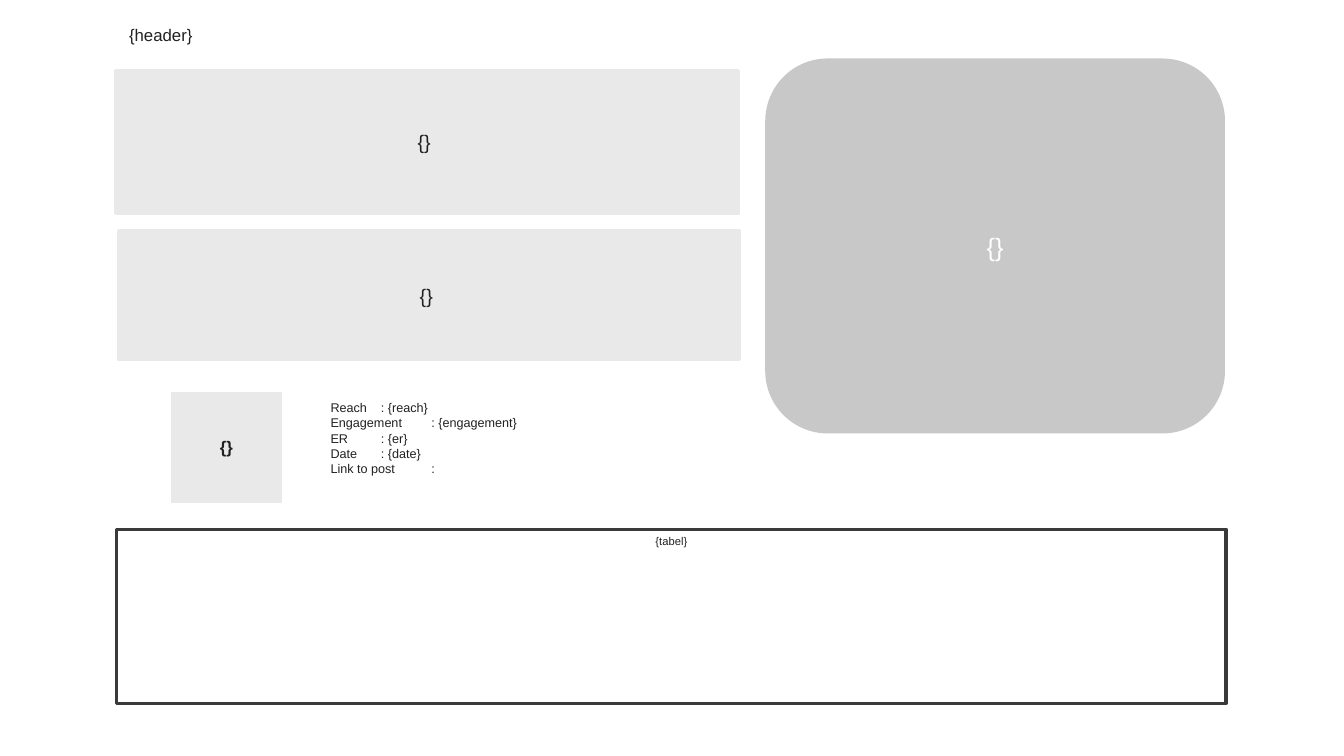
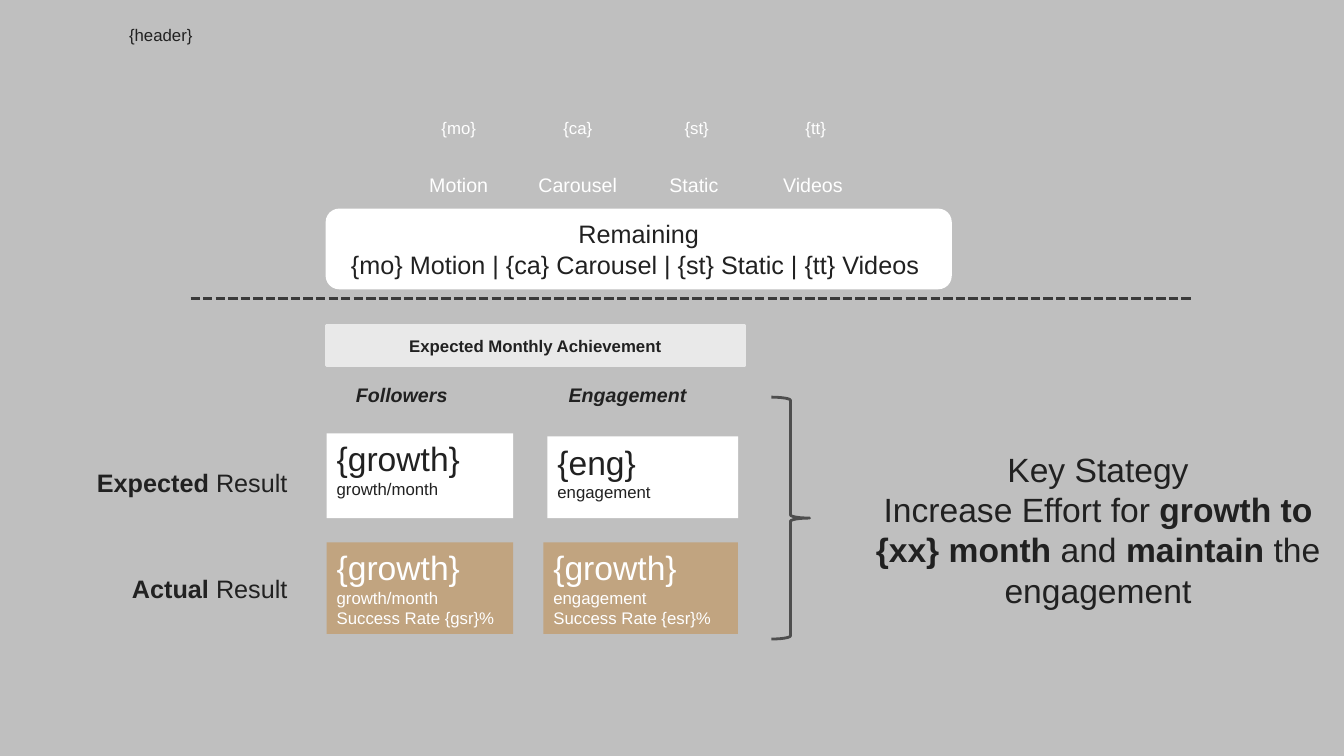
from lxml import etree
from pptx import Presentation
from pptx.dml.color import RGBColor
from pptx.enum.dml import MSO_LINE
from pptx.enum.shapes import MSO_CONNECTOR, MSO_SHAPE
from pptx.enum.text import MSO_ANCHOR, MSO_AUTO_SIZE, PP_ALIGN
from pptx.oxml.ns import qn
from pptx.util import Emu, Pt

PX = 9144  # 100 px to the inch
TITLE_ONLY = 5
FONT = "Arial"

INK = "212121"
WHITE = "FFFFFF"
PALE = "E9E9E9"
SILVER = "C8C8C8"
BACKDROP = "BFBFBF"
TAN = "C1A480"
RULE = "3A3A3A"
BRACE = "4E4E4E"

LEFT, CENTER, RIGHT = PP_ALIGN.LEFT, PP_ALIGN.CENTER, PP_ALIGN.RIGHT
TOP, MIDDLE = MSO_ANCHOR.TOP, MSO_ANCHOR.MIDDLE
RECTANGLE, ROUNDED = MSO_SHAPE.RECTANGLE, MSO_SHAPE.ROUNDED_RECTANGLE
RIGHT_BRACE = MSO_SHAPE.RIGHT_BRACE
STRAIGHT = MSO_CONNECTOR.STRAIGHT
DASHED = MSO_LINE.SQUARE_DOT


def px(*lengths):
    return [Emu(length * PX) for length in lengths]


def rgb(color):
    return RGBColor.from_string(color)


def span(text, size, bold=False, italic=False):
    return text, size, bold, italic


def write(box, paras, color=INK, align=CENTER, anchor=MIDDLE):
    """Fill a box with paragraphs, each a list of spans."""
    frame = box.text_frame
    frame.word_wrap = True
    frame.auto_size = MSO_AUTO_SIZE.NONE
    frame.vertical_anchor = anchor
    for index, spans in enumerate(paras):
        para = frame.paragraphs[0] if index == 0 else frame.add_paragraph()
        para.alignment = align
        for text, size, bold, italic in spans:
            run = para.add_run()
            run.text = text
            font = run.font
            font.name, font.size = FONT, Pt(size)
            font.bold, font.italic = bold, italic
            font.color.rgb = rgb(color)


def add_text(page, at, paras, **style):
    write(page.shapes.add_textbox(*px(*at)), paras, **style)


def add_panel(page, at, paras=(), kind=RECTANGLE, fill=None, line=None,
              width=2.25, **style):
    panel = page.shapes.add_shape(kind, *px(*at))
    panel.shadow.inherit = False
    if fill:
        panel.fill.solid()
        panel.fill.fore_color.rgb = rgb(fill)
    else:
        panel.fill.background()
    if line:
        panel.line.color.rgb = rgb(line)
        panel.line.width = Pt(width)
    else:
        panel.line.fill.background()
    write(panel, paras, **style)


def add_dashed_rule(page, left, right, y):
    rule = page.shapes.add_connector(STRAIGHT, *px(left, y, right, y))
    rule.line.color.rgb = rgb(RULE)
    rule.line.width = Pt(2.25)
    rule.line.dash_style = DASHED
    etree.SubElement(rule._element.spPr, qn("a:effectLst"))


def add_page(deck, background):
    page = deck.slides.add_slide(deck.slide_layouts[TITLE_ONLY])
    page.background.fill.solid()
    page.background.fill.fore_color.rgb = rgb(background)
    title = page.shapes.title
    title.left, title.top, title.width, title.height = px(118, 20, 1064, 33)
    write(title, [[span("{header}", 12)]], align=LEFT, anchor=TOP)
    return page


def build_post_page(deck):
    page = add_page(deck, WHITE)
    for at in ((115, 70, 617, 142), (118, 229, 615, 128)):
        add_panel(page, at, [[span("{} ", 14)]], fill=PALE, line=PALE)
    add_panel(page, (170, 389, 109, 109), [[span("{}", 12, bold=True)]],
              fill=PALE, line=PALE, width=0.25)
    add_panel(page, (759, 58, 456, 372), [[span("{}", 18)]],
              kind=ROUNDED, fill=SILVER, color=WHITE)
    add_panel(page, (116, 525, 1100, 173), [[span("{tabel}", 8)]],
              line=RULE, anchor=TOP)
    metrics = (("Reach", " {reach}"), ("Engagement", " {engagement}"),
               ("ER", " {er}"), ("Date", " {date}"), ("Link to post", ""))
    add_text(page, (318, 392, 215, 99),
             [[span(f"{name}\t:{value}", 9)] for name, value in metrics],
             align=LEFT, anchor=TOP)


def add_formats(page):
    formats = (("{mo}", "Motion"), ("{ca}", "Carousel"),
               ("{st}", "Static "), ("{tt}", "Videos "))
    for index, (count, name) in enumerate(formats):
        center = 455 + 118 * index
        add_text(page, (center - 29, 97, 58, 60), [[span(count, 12)]],
                 color=WHITE)
        add_text(page, (center - 53, 170, 106, 27), [[span(name, 14)]],
                 color=WHITE)
    remaining = "{mo} Motion | {ca} Carousel | {st} Static | {tt} Videos "
    add_panel(page, (323, 207, 621, 80),
              [[span("Remaining", 18)], [span(remaining, 18)]],
              kind=ROUNDED, fill=WHITE)


def add_results(page):
    add_panel(page, (324, 323, 414, 40),
              [[span("Expected Monthly Achievement", 12, bold=True)]],
              fill=PALE, line=PALE)
    for left, width, name in ((337, 123, "Followers"),
                              (539, 167, "Engagement")):
        add_text(page, (left, 375, width, 34),
                 [[span(name, 14, bold=True, italic=True)]], anchor=TOP)
    for top, name in ((459, "Expected "), (564, "Actual ")):
        add_text(page, (61, top, 234, 40),
                 [[span(name, 18, bold=True), span("Result", 18)]],
                 align=RIGHT, anchor=TOP)
    cards = (
        ((324, 430, 185, 84), WHITE, INK, "{growth}", ["growth/month"]),
        ((543, 433, 189, 81), WHITE, INK, "{eng}", ["engagement"]),
        ((324, 538, 185, 91), TAN, WHITE, "{growth}",
         ["growth/month", "Success Rate {gsr}%"]),
        ((539, 538, 193, 91), TAN, WHITE, "{growth}",
         ["engagement", "Success Rate {esr}%"]),
    )
    for at, fill, color, figure, notes in cards:
        paras = [[span(figure, 24)]] + [[span(note, 12)] for note in notes]
        add_panel(page, at, paras, fill=fill, color=color,
                  align=LEFT, anchor=TOP)


def build_strategy_page(deck):
    page = add_page(deck, BACKDROP)
    add_formats(page)
    add_dashed_rule(page, 189, 1181, 296)
    add_results(page)
    add_panel(page, (765, 394, 38, 240), kind=RIGHT_BRACE, line=BRACE, width=2)
    strategy = [span("Increase Effort for ", 24),
                span("growth to {xx} month", 24, bold=True),
                span(" and ", 24),
                span("maintain ", 24, bold=True),
                span("the engagement", 24)]
    add_text(page, (845, 440, 488, 45), [[span("Key Stategy", 24)], strategy],
             anchor=TOP)


def main():
    deck = Presentation()
    deck.slide_width, deck.slide_height = px(1333, 750)
    build_post_page(deck)
    build_strategy_page(deck)
    deck.save("out.pptx")


if __name__ == "__main__":
    main()
